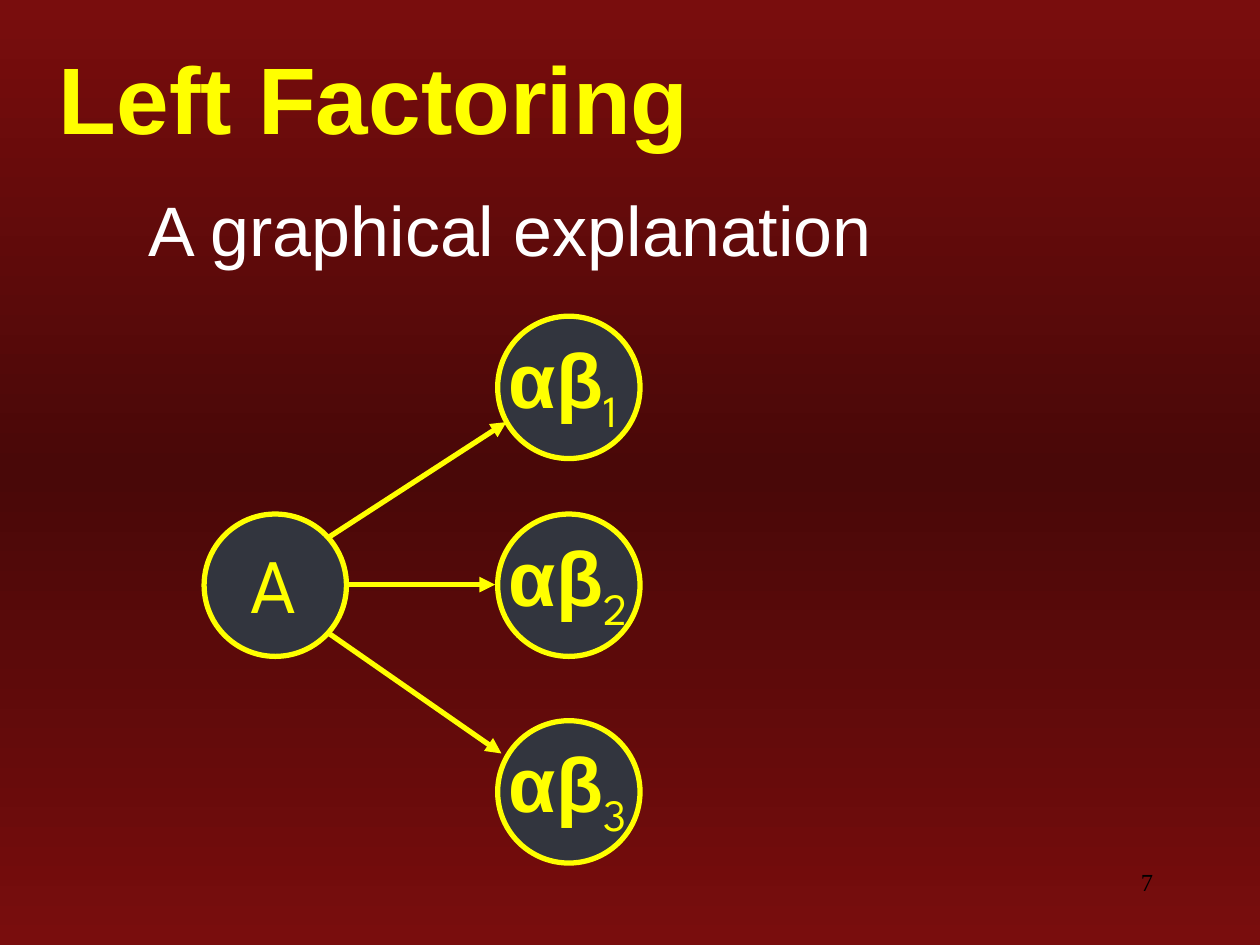
from copy import deepcopy

from pptx import Presentation
from pptx.dml.color import RGBColor
from pptx.enum import shapes, text
from pptx.oxml import ns, xmlchemy
from pptx.util import Inches, Pt

YELLOW = RGBColor(0xFF, 0xFF, 0x00)
WHITE = RGBColor(0xFF, 0xFF, 0xFF)
BLACK = RGBColor(0x00, 0x00, 0x00)
SLATE = RGBColor(0x32, 0x35, 0x3E)
RED = RGBColor(0x79, 0x0D, 0x0D)
DARK = RGBColor(0x49, 0x08, 0x08)
SIZE = 1.13


def paint(slide):
    """Fill the background with a red, dark, red vertical gradient."""
    fill = slide.background.fill
    fill.gradient()
    fill.gradient_angle = 270
    stops = slide.element.find(".//" + ns.qn("a:gsLst"))
    stops.append(deepcopy(stops[0]))
    for stop, place, color in zip(fill.gradient_stops, (0, 0.5, 1), (RED, DARK, RED)):
        stop.position = place
        stop.color.rgb = color


def write(parent, box, runs, size, color, wrap=True, grow=False):
    """Add a text box of (words, font, bold) runs and return its frame."""
    frame = parent.add_textbox(*map(Inches, box)).text_frame
    frame.word_wrap = wrap
    if grow:
        frame.auto_size = text.MSO_AUTO_SIZE.SHAPE_TO_FIT_TEXT
    for words, name, bold in runs:
        run = frame.paragraphs[0].add_run()
        run.text = words
        run.font.name = name
        run.font.size = Pt(size)
        run.font.bold = bold
        run.font.color.rgb = color
    return frame


def head(slide, box):
    """Place the title, centred in height."""
    frame = write(slide.shapes, box, [("Left Factoring", "Arial", True)], 54, YELLOW)
    frame.vertical_anchor = text.MSO_ANCHOR.MIDDLE


def body(slide, box):
    """Place the line of text under the title."""
    runs = [("A graphical explanation", "Arial", False)]
    frame = write(slide.shapes, box, runs, 40, WHITE)
    frame.paragraphs[0].space_before = Pt(10)


def page(slide, box):
    """Place the slide number."""
    frame = write(slide.shapes, box, [("7", "Times New Roman", False)], 14, BLACK)
    frame.paragraphs[0].alignment = text.PP_ALIGN.RIGHT


def disc(slide, left, top):
    """Add a group holding a ringed circle and return its shapes."""
    parts = slide.shapes.add_group_shape().shapes
    ring = parts.add_shape(
        shapes.MSO_SHAPE.OVAL, *map(Inches, (left, top, SIZE, SIZE)))
    ring.shadow.inherit = False
    ring.fill.solid()
    ring.fill.fore_color.rgb = SLATE
    ring.line.color.rgb = YELLOW
    ring.line.width = Pt(3)
    return parts


def root(slide, left, top):
    """Place the start node A."""
    box = (left + 0.27, top + 0.13, 0.59, 0.84)
    runs = [("A", "League Spartan", False)]
    write(disc(slide, left, top), box, runs, 44, YELLOW, wrap=False, grow=True)


def leaf(slide, left, top, digit):
    """Place one alternative with its subscript digit."""
    box = (left - 0.01, top + 0.07, 1.51, 0.94)
    runs = [("αβ", "Arial", True), (digit, "League Spartan", False)]
    frame = write(disc(slide, left, top), box, runs, 44, YELLOW, grow=True)
    frame.paragraphs[0].runs[1].font._element.set("baseline", "-25000")


def arrow(slide, start, end):
    """Draw an arrow from start to end."""
    link = slide.shapes.add_connector(
        shapes.MSO_CONNECTOR.STRAIGHT, *map(Inches, start + end))
    link.line.color.rgb = YELLOW
    link.line.width = Pt(3)
    tip = xmlchemy.OxmlElement("a:tailEnd")
    tip.set("type", "triangle")
    link.line._get_or_add_ln().append(tip)
    link.element.spPr.append(xmlchemy.OxmlElement("a:effectLst"))


def graph(slide, left, top):
    """Place the root, its three alternatives and the arrows."""
    root(slide, left, top + 1.57)
    for digit, drop in (("1", 0), ("2", 1.57), ("3", 3.21)):
        leaf(slide, left + 2.33, top + drop, digit)
    for x, y, right, low in (
        (0.98, 1.76, 2.4, 0.84),
        (SIZE, 2.13, 2.31, 2.13),
        (0.98, 2.51, 2.36, 3.47),
    ):
        arrow(slide, (left + x, top + y), (left + right, top + low))


def main():
    """Build and save the slide."""
    deck = Presentation()
    deck.slide_width, deck.slide_height = Inches(10), Inches(7.5)
    slide = deck.slides.add_slide(deck.slide_layouts[6])
    paint(slide)
    page(slide, (7.17, 6.83, 2.08, 0.5))
    head(slide, (0.37, 0.35, 10, 0.83))
    body(slide, (1.08, 1.43, 7.16, 1.06))
    graph(slide, 1.62, 2.51)
    deck.save("out.pptx")


if __name__ == "__main__":
    main()
